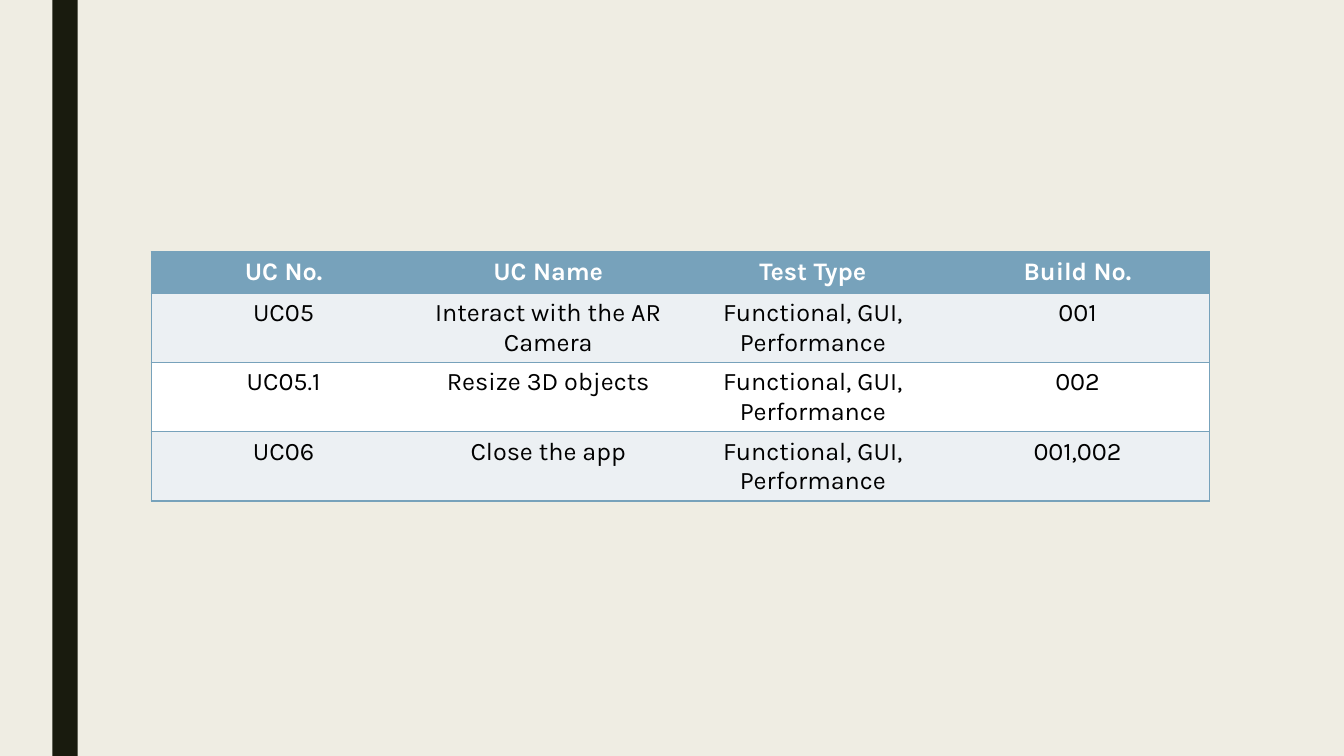
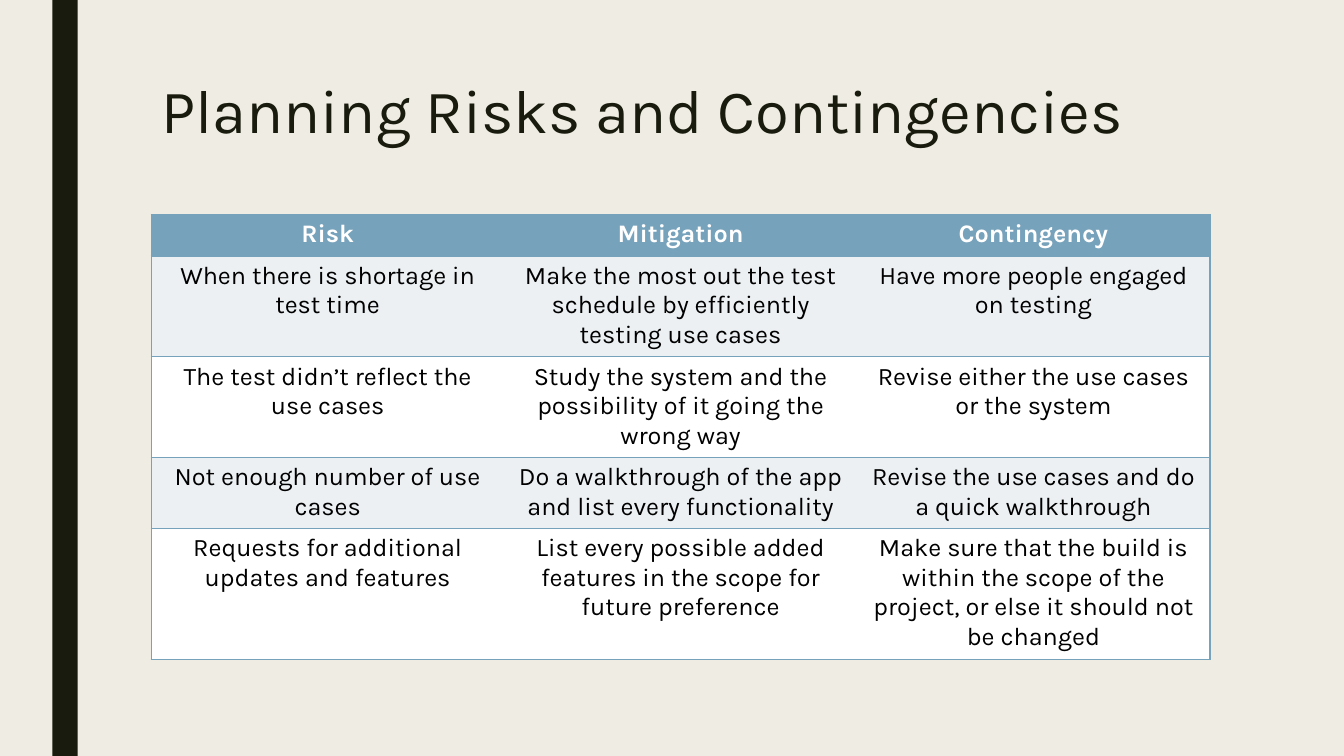
import pptx
import pptx.util
import pptx.dml.color
import pptx.enum.shapes
import pptx.enum.text
import lxml.etree

inch = pptx.util.Inches
hue = {"paper": "EFEDE3", "ink": "191B0E", "blue": "77A2BB",
       "pale": "ECF0F3", "white": "FFFFFF", "black": "000000"}
font = "Karla"
wide, high = 13.33, 7.5
left, span, line = 1.5, 10.5, 0.41
space = "http://schemas.openxmlformats.org/drawingml/2006/main"

pages = [
    {"title": "", "top": high / 3, "rows": [
        ["UC No.", "UC Name", "Test Type", "Build No."],
        ["UC05", "Interact with the AR Camera", "Functional, GUI, Performance", "001"],
        ["UC05.1", "Resize 3D objects", "Functional, GUI, Performance", "002"],
        ["UC06", "Close the app", "Functional, GUI, Performance", "001,002"]]},
    {"title": "Planning Risks and Contingencies", "top": 2.13, "rows": [
        ["Risk", "Mitigation", "Contingency"],
        ["When there is shortage in test time",
         "Make the most out the test schedule by efficiently testing use cases",
         "Have more people engaged on testing"],
        ["The test didn’t reflect the use cases",
         "Study the system and the possibility of it going the wrong way",
         "Revise either the use cases or the system"],
        ["Not enough number of use cases",
         "Do a walkthrough of the app and list every functionality",
         "Revise the use cases and do a quick walkthrough"],
        ["Requests for additional updates and features",
         "List every possible added features in the scope for future preference",
         "Make sure that the build is within the scope of the project, "
         "or else it should not be changed"]]},
]


def paint(fill, name):
    fill.solid()
    fill.fore_color.rgb = pptx.dml.color.RGBColor.from_string(hue[name])


def write(para, text, size, name, bold=False):
    run = para.add_run()
    run.text = text
    run.font.name = font
    run.font.size = pptx.util.Pt(size)
    run.font.bold = bold
    paint(run.font.fill, name)


deck = pptx.Presentation()
deck.slide_width, deck.slide_height = inch(wide), inch(high)
paint(deck.slide_master.background.fill, "paper")

for page in pages:
    slide = deck.slides.add_slide(deck.slide_layouts[6])
    band = slide.shapes.add_shape(pptx.enum.shapes.MSO_SHAPE.RECTANGLE,
                                  inch(0.52), 0, inch(0.25), inch(high))
    band.shadow.inherit = False
    paint(band.fill, "ink")
    band.line.fill.background()

    if page["title"]:
        box = slide.shapes.add_textbox(inch(left), inch(high / 10), inch(span), inch(1.62))
        box.text_frame.word_wrap = True
        para = box.text_frame.paragraphs[0]
        para.line_spacing = 0.89
        write(para, page["title"], 44, "ink")

    rows = page["rows"]
    count = len(rows[0])
    table = slide.shapes.add_table(len(rows), count, inch(left), inch(page["top"]),
                                   inch(span), inch(line * len(rows))).table
    table.first_row = table.horz_banding = False
    for col in table.columns:
        col.width = inch(span / count)
    for r, row in enumerate(rows):
        table.rows[r].height = inch(line)
        for c, text in enumerate(row):
            cell = table.cell(r, c)
            para = cell.text_frame.paragraphs[0]
            para.alignment = pptx.enum.text.PP_ALIGN.CENTER
            write(para, text, 18, "black" if r else "white", r == 0)
            edges = {"lnL": c == 0, "lnR": c == count - 1, "lnT": True, "lnB": True}
            props = cell._tc.get_or_add_tcPr()
            for edge, drawn in edges.items():
                rule = lxml.etree.SubElement(props, f"{{{space}}}{edge}", w="12700")
                if drawn:
                    solid = lxml.etree.SubElement(rule, f"{{{space}}}solidFill")
                    lxml.etree.SubElement(solid, f"{{{space}}}srgbClr", val=hue["blue"])
                else:
                    lxml.etree.SubElement(rule, f"{{{space}}}noFill")
            paint(cell.fill, "blue" if r == 0 else "pale" if r % 2 else "white")

deck.save("out.pptx")
